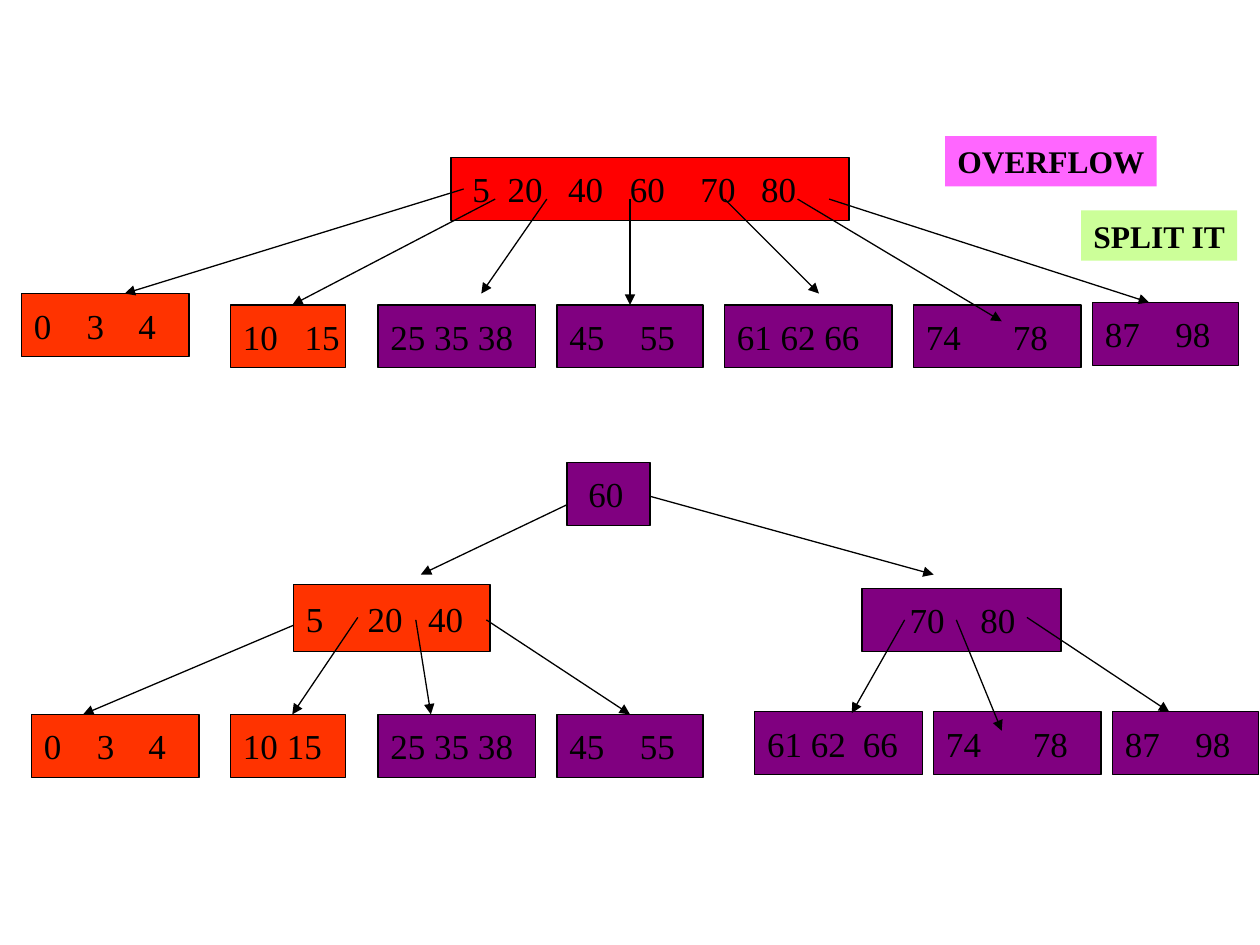
"""Build a slide showing a B-tree root that overflows and the tree after the split."""
from dataclasses import dataclass

from lxml import etree
from pptx import Presentation
from pptx.dml.color import RGBColor
from pptx.enum.shapes import MSO_CONNECTOR, MSO_SHAPE
from pptx.enum.text import MSO_ANCHOR, PP_ALIGN
from pptx.oxml.ns import qn
from pptx.util import Inches, Pt

RECT = MSO_SHAPE.RECTANGLE
STRAIGHT = MSO_CONNECTOR.STRAIGHT
LEFT = PP_ALIGN.LEFT
TOP, MIDDLE = MSO_ANCHOR.TOP, MSO_ANCHOR.MIDDLE
TOP_SIDE = 0


@dataclass(frozen=True)
class Theme:
    """Colours, font and sizes used on the slide."""
    ink: str = "000000"
    red: str = "FF0000"
    orange: str = "FF3300"
    purple: str = "800080"
    pink: str = "FF66FF"
    green: str = "CCFF99"
    font: str = "Times New Roman"
    key_size: int = 20
    label_size: int = 18
    line_width: float = 0.75
    inset: float = 0.1
    node_height: float = 0.5


class TreeSlide:
    """Draw nodes, arrows and labels on one slide."""

    def __init__(self, slide, theme):
        """Keep the slide and its theme."""
        self.s, self.theme = slide, theme

    def box(self, text, box, fill, size, bold, anchor, indent=0):
        """Add a filled rectangle with left-aligned text."""
        sp = self.s.shapes.add_shape(RECT, *map(Inches, box))
        sp.shadow.inherit = False
        sp.fill.solid()
        sp.fill.fore_color.rgb = RGBColor.from_string(fill)
        tf = sp.text_frame
        tf.word_wrap = False
        tf.vertical_anchor = anchor
        tf.margin_left = Inches(self.theme.inset + indent)
        tf.text = text
        p = tf.paragraphs[0]
        p.alignment = LEFT
        font = p.runs[0].font
        font.name, font.size, font.bold = self.theme.font, Pt(size), bold
        font.color.rgb = RGBColor.from_string(self.theme.ink)
        return sp

    def outline(self, line):
        """Apply the common line style."""
        line.color.rgb = RGBColor.from_string(self.theme.ink)
        line.width = Pt(self.theme.line_width)

    def node(self, keys, left, top, width, fill, stops=(), indent=0, height=None):
        """Add a tree node whose keys sit at tab stops."""
        box = (left, top, width, height or self.theme.node_height)
        sp = self.box(keys, box, fill, self.theme.key_size, False, MIDDLE, indent)
        self.outline(sp.line)
        if stops:
            p_pr = sp.text_frame.paragraphs[0]._p.get_or_add_pPr()
            tabs = etree.SubElement(p_pr, qn("a:tabLst"))
            for stop in stops:
                etree.SubElement(tabs, qn("a:tab"), pos=str(Inches(stop)), algn="l")
        return sp

    def label(self, text, box, fill):
        """Add a bold label without an outline."""
        sp = self.box(text, box, fill, self.theme.label_size, True, TOP)
        sp.line.fill.background()

    def arrow(self, x1, y1, x2, y2, child=None):
        """Add an arrow, joined to the top of a child node if given."""
        cx = self.s.shapes.add_connector(STRAIGHT, *map(Inches, (x1, y1, x2, y2)))
        self.outline(cx.line)
        if child is not None:
            cx.end_connect(child, TOP_SIDE)
        etree.SubElement(cx.line._get_or_add_ln(), qn("a:tailEnd"), type="triangle")
        etree.SubElement(cx._element.spPr, qn("a:effectLst"))


def draw_overflow(tree, theme):
    """Draw the tree with the overfull root."""
    orange, purple = theme.orange, theme.purple
    tree.node("5\t20\t40\t60\t70\t80", 3.58, 1.25, 3.16, theme.red,
              (0.28, 0.76, 1.25, 1.81, 2.29), 0.07)
    leaves = [
        ("0\t3\t4", 0.17, 2.33, 1.33, orange, (0.42, 0.83)),
        ("10\t15", 1.83, 2.42, 0.91, orange, (0.49,)),
        ("25 35 38", 3, 2.42, 1.25, purple),
        ("45\t55", 4.42, 2.42, 1.16, purple, (0.56,)),
        ("61 62 66", 5.75, 2.42, 1.33, purple),
        ("74\t78", 7.25, 2.42, 1.33, purple, (0.69,)),
        ("87\t98", 8.67, 2.4, 1.16, purple, (0.56,)),
    ]
    nodes = [tree.node(*leaf) for leaf in leaves]
    tree.arrow(3.68, 1.5, 0.99, 2.33)
    for x1, x2, y2 in [(3.93, 2.32, 2.42), (4.34, 3.82, 2.33), (5.75, 6.5, 2.33),
                       (6.33, 7.95, 2.55), (6.58, 9.12, 2.4)]:
        tree.arrow(x1, 1.58, x2, y2)
    tree.arrow(5, 1.58, 5, 2.42, nodes[3])


def draw_split(tree, theme):
    """Draw the tree after the root is split."""
    orange, purple = theme.orange, theme.purple
    for ends in [(4.68, 3.92, 3.34, 4.56), (5.09, 3.92, 7.41, 4.56),
                 (2.43, 4.92, 0.66, 5.67)]:
        tree.arrow(*ends)
    tree.node("60", 4.5, 3.67, 0.66, purple, indent=0.07)
    tree.node("5\t20\t40", 2.33, 4.64, 1.56, orange, (0.49, 0.97), height=0.53)
    tree.node("70\t80", 6.84, 4.67, 1.58, purple, (0.56,), 0.28)
    leaves = [
        ("0\t3\t4", 0.25, 5.67, 1.33, orange, (0.42, 0.83)),
        ("10 15", 1.83, 5.67, 0.91, orange),
        ("25 35 38", 3, 5.67, 1.25, purple),
        ("45\t55", 4.42, 5.67, 1.16, purple, (0.56,)),
        ("61 62\t66", 5.99, 5.65, 1.33, purple, (0.76,)),
        ("74\t78", 7.41, 5.65, 1.33, purple, (0.69,)),
        ("87\t98", 8.83, 5.65, 1.16, purple, (0.56,)),
    ]
    nodes = [tree.node(*leaf) for leaf in leaves]
    for ends in [(2.84, 4.9, 2.32, 5.67), (3.3, 4.92, 3.42, 5.67),
                 (7.18, 4.92, 6.76, 5.66), (7.59, 4.92, 7.95, 5.8),
                 (8.15, 4.9, 9.28, 5.65)]:
        tree.arrow(*ends)
    tree.arrow(3.86, 4.92, 5, 5.67, nodes[3])


def main():
    """Build and save the presentation."""
    prs = Presentation()
    prs.slide_width, prs.slide_height = Inches(10), Inches(7.5)
    theme = Theme()
    tree = TreeSlide(prs.slides.add_slide(prs.slide_layouts[6]), theme)
    draw_split(tree, theme)
    draw_overflow(tree, theme)
    tree.label("OVERFLOW", (7.5, 1.08, 1.68, 0.4), theme.pink)
    tree.label("SPLIT IT", (8.58, 1.67, 1.24, 0.4), theme.green)
    prs.save("out.pptx")


if __name__ == "__main__":
    main()
